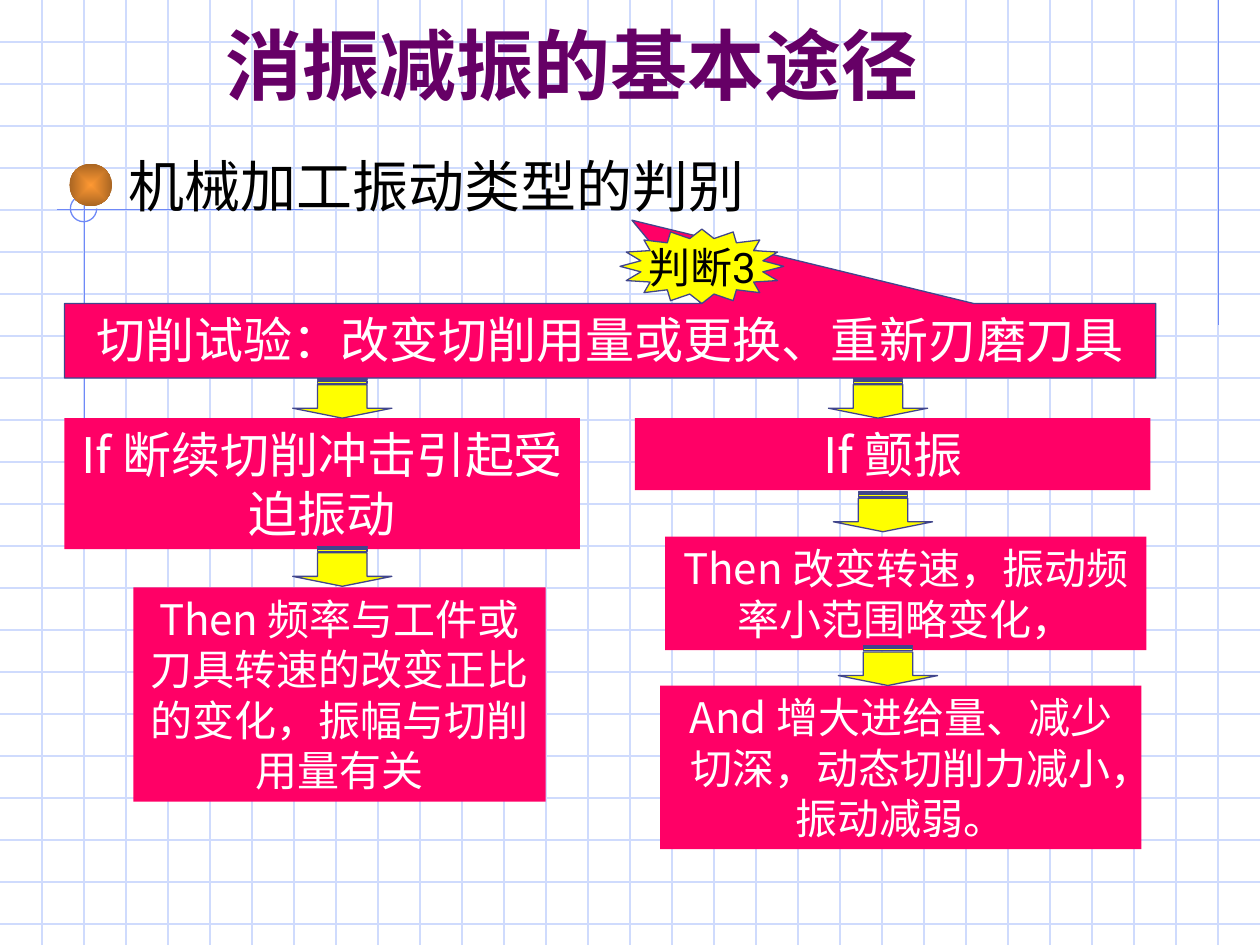
from lxml import etree
from pptx import Presentation
from pptx.dml.color import RGBColor as RGB
from pptx.enum.shapes import MSO_CONNECTOR as Link, MSO_SHAPE as Kind
from pptx.enum.text import MSO_ANCHOR as Anchor, PP_ALIGN as Align
from pptx.oxml.ns import qn
from pptx.util import Cm, Pt

WIDE, HIGH = 25.4, 19.05
STEP = WIDE / 30
SANS, SERIF, LATIN = "Noto Sans CJK SC", "Times New Roman", "Roboto"
HUES = {
    "grid": "CFDBFD", "rule": "6F89F7", "title": "660066", "text": "000000",
    "white": "FFFFFF", "pink": "FF0066", "yellow": "FFFF00", "edge": "40458C",
    "light": "FF9933", "dark": "A96522",
}


def hue(name):
    return RGB.from_string(HUES[name])


def add_line(slide, x1, y1, x2, y2, color):
    line = slide.shapes.add_connector(
        Link.STRAIGHT, Cm(x1), Cm(y1), Cm(x2), Cm(y2))
    line.line.color.rgb = hue(color)
    line.line.width = Pt(0.75)
    etree.SubElement(line._element.spPr, qn("a:effectLst"))


def add_form(slide, kind, area, fill=None, edge=None):
    form = slide.shapes.add_shape(kind, *map(Cm, area))
    form.shadow.inherit = False
    if fill:
        form.fill.solid()
        form.fill.fore_color.rgb = hue(fill)
    else:
        form.fill.background()
    if edge:
        form.line.color.rgb = hue(edge)
        form.line.width = Pt(0.75)
    else:
        form.line.fill.background()
    return form


def set_text(form, text, size, face, color, align=Align.CENTER,
             anchor=Anchor.TOP, wrap=True, bold=False):
    frame = form.text_frame
    frame.word_wrap = wrap
    frame.vertical_anchor = anchor
    para = frame.paragraphs[0]
    para.text = text
    para.alignment = align
    font = para.runs[0].font
    font.size, font.name, font.bold = Pt(size), face, bold
    font.color.rgb = hue(color)
    east = etree.SubElement(font._element, qn("a:ea"))
    east.set("typeface", SANS)
    return para


def add_label(slide, area, *args, **style):
    return set_text(slide.shapes.add_textbox(*map(Cm, area)), *args, **style)


def add_box(slide, area, text, size):
    set_text(add_form(slide, Kind.RECTANGLE, area, "pink"),
             text, size, SANS, "white")


def add_arrow(slide, mid, top, span=2.0, drop=0.8):
    # The preset points right, so it is laid out sideways and turned down
    area = (mid - drop / 2, top + drop / 2 - span / 2, drop, span)
    arrow = add_form(slide, Kind.STRIPED_RIGHT_ARROW, area, "yellow", "edge")
    arrow.adjustments[0], arrow.adjustments[1] = 0.5, 0.25
    arrow.rotation = 90


def add_ball(slide, area):
    ball = add_form(slide, Kind.OVAL, area)
    ball.fill.gradient()
    for stop, name in zip(ball.fill.gradient_stops, ("light", "dark")):
        stop.color.rgb = hue(name)
    grad = ball._element.spPr.find(qn("a:gradFill"))
    grad.remove(grad.find(qn("a:lin")))
    glow = etree.SubElement(grad, qn("a:path"), path="rect")
    etree.SubElement(glow, qn("a:fillToRect"),
                     {side: "50000" for side in "ltrb"})


def add_back(slide):
    # Squared paper
    for row in range(1, 23):
        add_line(slide, 0, row * STEP, WIDE, row * STEP, "grid")
    for col in range(1, 30):
        add_line(slide, col * STEP, 0, col * STEP, HIGH, "grid")
    # Accent rules and arc
    add_line(slide, 24.56, 0, 24.56, 6.55, "rule")
    add_line(slide, 6.1, 4.22, 1.14, 4.22, "rule")
    add_line(slide, 1.7, 3.94, 1.7, 10.39, "rule")
    arc = add_form(slide, Kind.ARC, (1.42, 3.94, 0.53, 0.53), edge="rule")
    # Angles are in 60000ths of a degree, scaled by 100000
    arc.adjustments[0], arc.adjustments[1] = 0, 270 * 0.6


def main():
    deck = Presentation()
    deck.slide_width, deck.slide_height = Cm(WIDE), Cm(HIGH)
    slide = deck.slides.add_slide(deck.slide_layouts[6])
    add_back(slide)

    # Headings
    add_label(slide, (4.29, 0.64, 18.24, 1.27), "消振减振的基本途径", 44, SERIF,
              "title", align=Align.LEFT, anchor=Anchor.MIDDLE, bold=True)
    topic = add_label(slide, (2.34, 2.79, 17.35, 1.75), "机械加工振动类型的判别",
                      32, SERIF, "text", align=Align.JUSTIFY)
    topic.line_spacing = 1.1
    add_ball(slide, (1.4, 3.3, 0.86, 0.86))

    # Test callout and its burst
    test = add_form(slide, Kind.RECTANGULAR_CALLOUT, (1.3, 6.12, 22, 1.5),
                    "pink", "edge")
    test.adjustments[0], test.adjustments[1] = 0.02, -1.62
    set_text(test, "切削试验：改变切削用量或更换、重新刃磨刀具", 28, LATIN, "white")
    burst = add_form(slide, Kind.STAR_16_POINT, (12.5, 4.62, 3.3, 1.5),
                     "yellow", "edge")
    burst.adjustments[0] = 0.38
    set_text(burst, "判断3", 24, LATIN, "text", anchor=Anchor.MIDDLE, wrap=False)

    # Left branch: forced vibration; right branch: chatter
    for area, text, size in (
        ((1.3, 8.43, 10.39, 2.64), "If 断续切削冲击引起受迫振动", 28),
        ((2.69, 11.84, 8.31, 4.32),
         "Then 频率与工件或刀具转速的改变正比的变化，振幅与切削用量有关", 24),
        ((12.8, 8.43, 10.39, 1.45), "If 颤振", 28),
        ((13.41, 10.82, 9.7, 2.29), "Then 改变转速，振动频率小范围略变化，", 24),
        ((13.31, 13.82, 9.7, 3.3),
         "And 增大进给量、减少切深，动态切削力减小，振动减弱。", 24),
    ):
        add_box(slide, area, text, size)

    # Flow arrows
    for mid, top in ((6.9, 7.63), (6.9, 11.02), (17.7, 7.63),
                     (17.8, 9.92), (17.9, 13.02)):
        add_arrow(slide, mid, top)

    deck.save("out.pptx")


if __name__ == "__main__":
    main()
